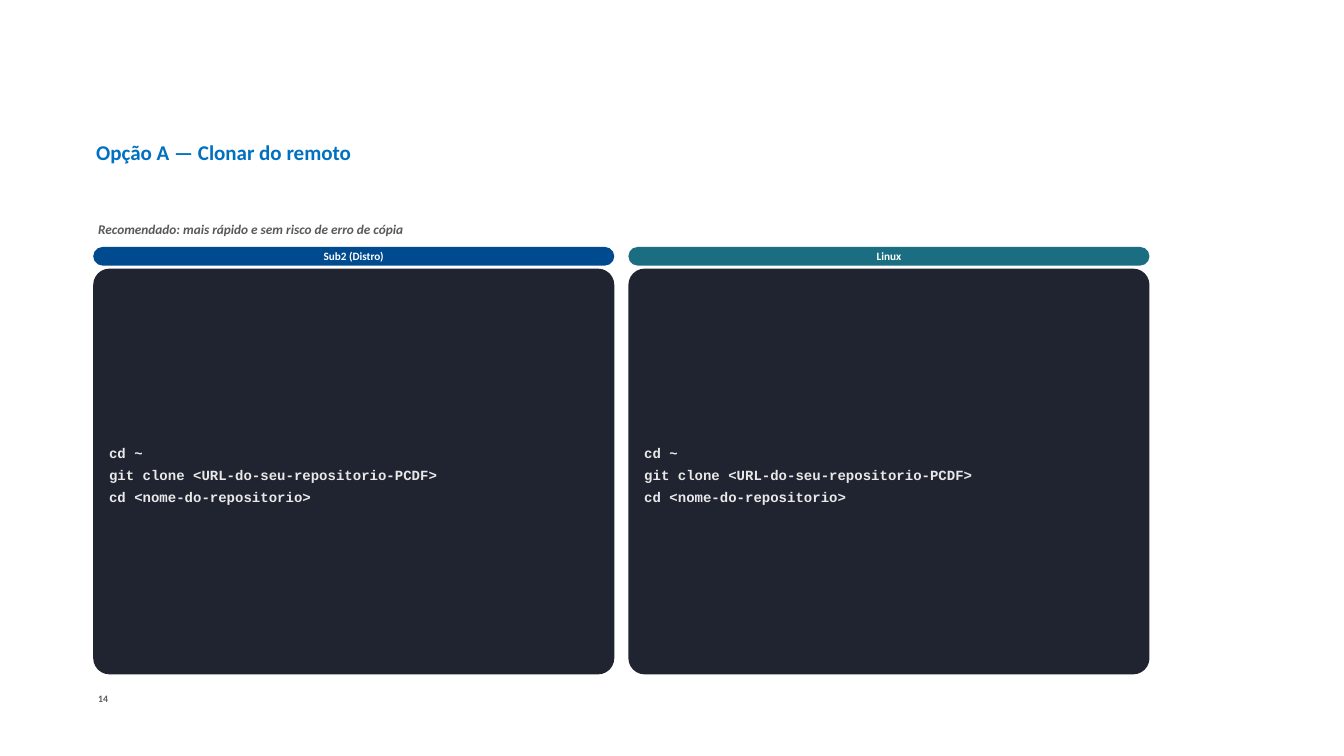
from pptx import Presentation
from pptx.dml.color import RGBColor
from pptx.enum.shapes import MSO_SHAPE
from pptx.enum.text import MSO_ANCHOR, MSO_AUTO_SIZE, PP_ALIGN
from pptx.util import Inches, Pt

ROUNDED = MSO_SHAPE.ROUNDED_RECTANGLE
TOP, MIDDLE = MSO_ANCHOR.TOP, MSO_ANCHOR.MIDDLE
LEFT, CENTER = PP_ALIGN.LEFT, PP_ALIGN.CENTER
NO_AUTOFIT = MSO_AUTO_SIZE.NONE

COLORS = {
    "title": "0070C0",
    "muted": "595959",
    "subsystem": "004A8F",
    "linux": "1B6E82",
    "terminal": "1F2430",
    "code": "E8E8E8",
    "white": "FFFFFF",
}
TITLE_ONLY = 5
MARGIN = 1.85
CONTENT_WIDTH = 20.97
PANEL_WIDTH = 10.34
PANEL_GAP = 0.28
COMMANDS = [
    "cd ~",
    "git clone <URL-do-seu-repositorio-PCDF>",
    "cd <nome-do-repositorio>",
]
PANELS = [("Sub2 (Distro)", "subsystem"), ("Linux", "linux")]


def color(name):
    return RGBColor.from_string(COLORS[name])


def place(shape, left, top, width, height):
    shape.left, shape.top = Inches(left), Inches(top)
    shape.width, shape.height = Inches(width), Inches(height)


def write_text(shape, lines, *, size, fill, font="Calibri", italic=False,
               align=LEFT, anchor=MIDDLE, insets=(0.1, 0.05, 0.1, 0.05),
               space_after=0, line_spacing=1.0):
    frame = shape.text_frame
    frame.word_wrap = True
    frame.auto_size = NO_AUTOFIT
    frame.vertical_anchor = anchor
    (frame.margin_left, frame.margin_top,
     frame.margin_right, frame.margin_bottom) = map(Inches, insets)
    for index, line in enumerate(lines):
        paragraph = frame.add_paragraph() if index else frame.paragraphs[0]
        paragraph.alignment = align
        paragraph.space_after = Pt(space_after)
        paragraph.line_spacing = line_spacing
        run = paragraph.add_run()
        run.text = line
        run.font.name = font
        run.font.size = Pt(size)
        run.font.bold = True
        run.font.italic = italic
        run.font.color.rgb = color(fill)


def add_title(slide, text):
    title = slide.shapes.title
    place(title, MARGIN, 1.76, CONTENT_WIDTH, 2.5)
    write_text(title, [text], size=30, fill="title", insets=(0.06,) * 4)


def add_label(slide, text, top, width, height, **text_format):
    label = slide.shapes.add_textbox(0, 0, 0, 0)
    place(label, MARGIN, top, width, height)
    write_text(label, [text], fill="muted", anchor=TOP, **text_format)


def add_rounded_box(slide, left, top, height, fill, radius):
    shape = slide.shapes.add_shape(ROUNDED, 0, 0, 0, 0)
    place(shape, left, top, PANEL_WIDTH, height)
    shape.adjustments[0] = radius
    shape.fill.solid()
    shape.fill.fore_color.rgb = color(fill)
    shape.line.fill.background()
    shape.shadow.inherit = False
    return shape


def add_terminal_panel(slide, left, heading, heading_fill):
    header = add_rounded_box(slide, left, 4.9, 0.37, heading_fill, 0.5)
    write_text(header, [heading], size=16, fill="white", align=CENTER)
    terminal = add_rounded_box(slide, left, 5.33, 8.05, "terminal", 0.04)
    write_text(terminal, COMMANDS, size=20, fill="code", font="Courier New",
               insets=(0.22, 0.16, 0.15, 0.05), space_after=5,
               line_spacing=1.08)


def main():
    presentation = Presentation()
    presentation.slide_width = Inches(26.67)
    presentation.slide_height = Inches(15)
    slide = presentation.slides.add_slide(presentation.slide_layouts[TITLE_ONLY])
    add_title(slide, "Opção A — Clonar do remoto")
    add_label(slide, "14", 13.69, 0.98, 0.44, size=14)
    add_label(slide, "Recomendado: mais rápido e sem risco de erro de cópia",
              4.35, CONTENT_WIDTH, 0.46, size=19, italic=True)
    for index, (heading, heading_fill) in enumerate(PANELS):
        left = MARGIN + index * (PANEL_WIDTH + PANEL_GAP)
        add_terminal_panel(slide, left, heading, heading_fill)
    presentation.save("out.pptx")


if __name__ == "__main__":
    main()
